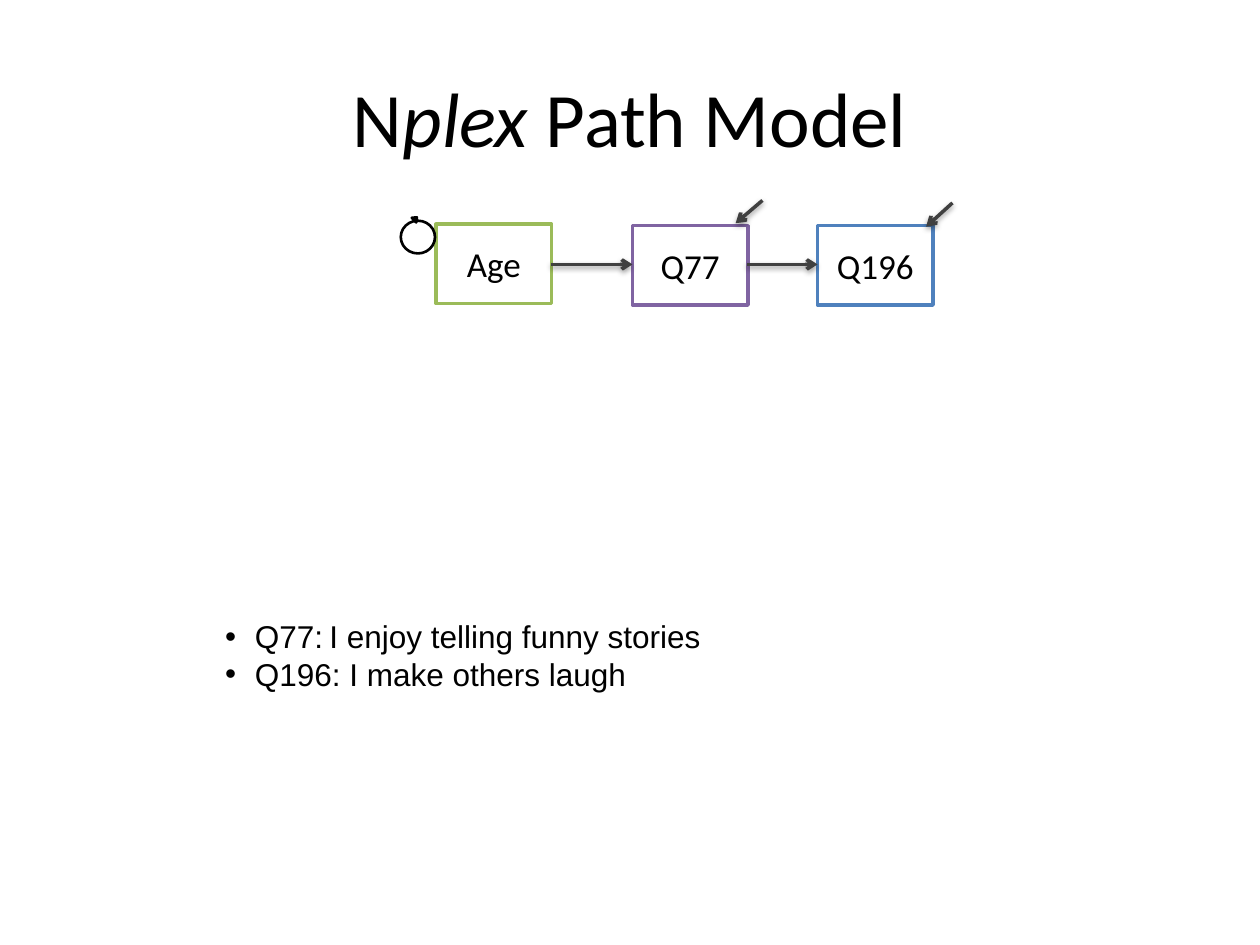
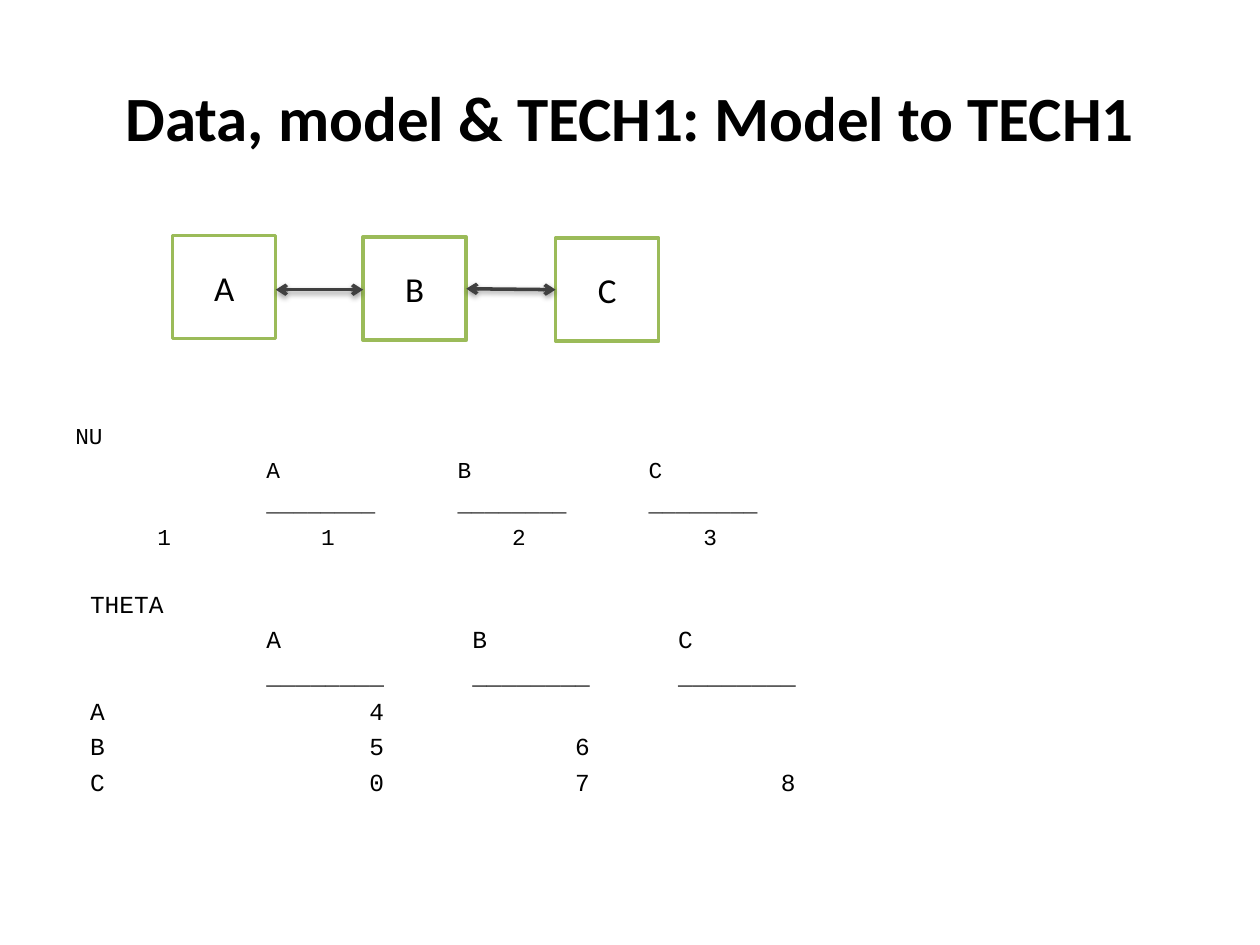
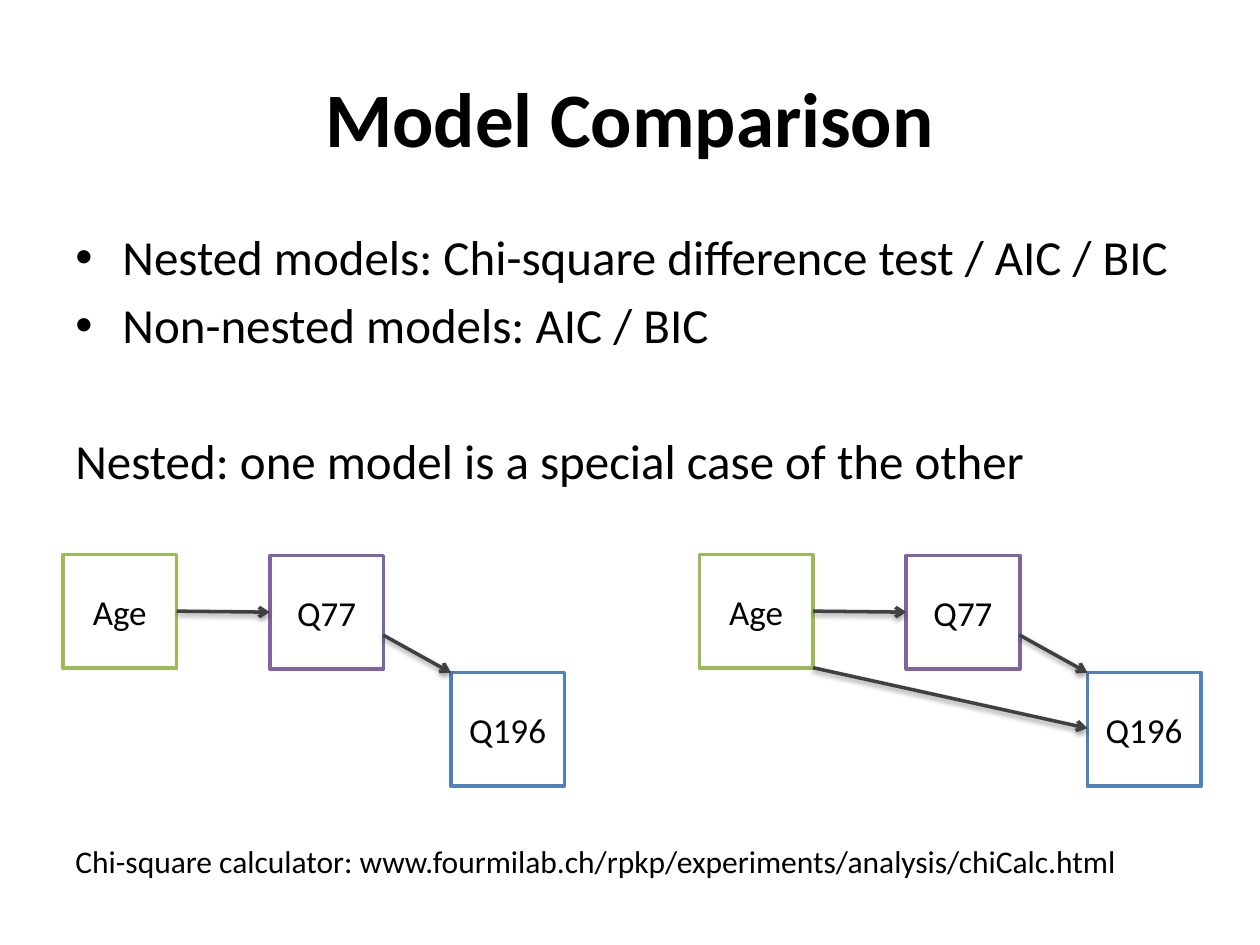
import pptx
import pptx.dml.color
import pptx.enum.shapes
import pptx.enum.text
import pptx.oxml
import pptx.oxml.ns
import pptx.util
from lxml import etree

Cm = pptx.util.Cm
Pt = pptx.util.Pt
RGBColor = pptx.dml.color.RGBColor
Shape = pptx.enum.shapes.MSO_SHAPE
Align = pptx.enum.text.PP_ALIGN
Anchor = pptx.enum.text.MSO_ANCHOR
qn = pptx.oxml.ns.qn

# Shared colours and text formats
BLACK = RGBColor(0x00, 0x00, 0x00)
WHITE = RGBColor(0xFF, 0xFF, 0xFF)
GREEN = RGBColor(0x9B, 0xBB, 0x59)
PURPLE = RGBColor(0x80, 0x64, 0xA2)
BLUE = RGBColor(0x4F, 0x81, 0xBD)
DARK_GRAY = RGBColor(0x40, 0x40, 0x40)

TITLE = {"name": "Calibri", "size": Pt(44)}
BOLD_TITLE = {**TITLE, "bold": True}
LABEL = {"name": "Calibri", "size": Pt(20)}
BODY = {"name": "Calibri", "size": Pt(28)}
NOTE = {"name": "Calibri", "size": Pt(18)}
ITEM = {"name": "Arial", "size": Pt(18)}
NU_CODE = {"name": "Courier New", "size": Pt(13)}
THETA_CODE = {"name": "Courier New", "size": Pt(14)}

BODY_LEFT, BODY_WIDTH = 1.27, 22.86
COURIER_WIDTH = 0.6  # character width as a share of the font size

SHADOW = (
    '<a:effectLst xmlns:a="http://schemas.openxmlformats.org/drawingml/2006/main">'
    '<a:outerShdw blurRad="40000" dist="20000" dir="5400000" rotWithShape="0">'
    '<a:srgbClr val="000000"><a:alpha val="38000"/></a:srgbClr>'
    '</a:outerShdw></a:effectLst>'
)


# Text
def add_run(paragraph, text, formats):
    run = paragraph.add_run()
    run.text = text
    run.font.color.rgb = BLACK
    for name, value in formats.items():
        setattr(run.font, name, value)


def add_text_frame(slide, left, top, width, height):
    frame = slide.shapes.add_textbox(Cm(left), Cm(top), Cm(width), Cm(height)).text_frame
    frame.word_wrap = True
    return frame


def add_paragraph(frame, text, formats, space_before=0):
    first = frame.paragraphs[0]
    paragraph = frame.add_paragraph() if first.runs else first
    paragraph.space_before = Pt(space_before)
    add_run(paragraph, text, formats)
    return paragraph


def set_bullet(paragraph, indent):
    properties = paragraph._p.get_or_add_pPr()
    properties.set("marL", str(Cm(indent)))
    properties.set("indent", str(-Cm(indent)))
    etree.SubElement(properties, qn("a:buFont"), typeface="Arial")
    etree.SubElement(properties, qn("a:buChar"), char="•")


def set_tabs(paragraph, positions):
    tab_list = etree.SubElement(paragraph._p.get_or_add_pPr(), qn("a:tabLst"))
    for position in positions:
        etree.SubElement(tab_list, qn("a:tab"), pos=str(int(position)), algn="l")


def add_title(slide, runs):
    frame = add_text_frame(slide, BODY_LEFT, 0.76, BODY_WIDTH, 3.18)
    frame.vertical_anchor = Anchor.MIDDLE
    frame.paragraphs[0].alignment = Align.CENTER
    for text, formats in runs:
        add_run(frame.paragraphs[0], text, formats)


def add_code_row(frame, columns, texts, formats, space_before=3.6):
    """Place each text at its character column by a tab stop."""
    lead = "\t" if columns[0] else ""
    paragraph = add_paragraph(frame, lead + "\t".join(texts), formats, space_before)
    step = formats["size"] * COURIER_WIDTH
    set_tabs(paragraph, [column * step for column in columns if column])


# Diagrams
def add_outline(slide, kind, left, top, width, height, color, line_width):
    shape = slide.shapes.add_shape(kind, Cm(left), Cm(top), Cm(width), Cm(height))
    shape.shadow.inherit = False
    shape.fill.background()
    shape.line.color.rgb = color
    shape.line.width = Pt(line_width)
    return shape


def add_variable(slide, label, left, top, width, height, color):
    shape = add_outline(slide, Shape.RECTANGLE, left, top, width, height, color, 2)
    shape.fill.solid()
    shape.fill.fore_color.rgb = WHITE
    frame = shape.text_frame
    frame.margin_left = frame.margin_right = 0
    frame.vertical_anchor = Anchor.MIDDLE
    add_paragraph(frame, label, LABEL).alignment = Align.CENTER


def add_arrow(slide, x1, y1, x2, y2, two_headed=False):
    connector = slide.shapes.add_connector(
        pptx.enum.shapes.MSO_CONNECTOR.STRAIGHT, Cm(x1), Cm(y1), Cm(x2), Cm(y2))
    connector.line.color.rgb = DARK_GRAY
    connector.line.width = Pt(2)
    line = connector.line._get_or_add_ln()
    for end in ("headEnd", "tailEnd") if two_headed else ("tailEnd",):
        etree.SubElement(line, qn("a:" + end), type="arrow")
    connector._element.spPr.append(pptx.oxml.parse_xml(SHADOW))


def add_variance_loop(slide):
    add_outline(slide, Shape.OVAL, 8.08, 4.45, 0.69, 0.66, BLACK, 1.5)
    tip = add_outline(slide, Shape.ISOSCELES_TRIANGLE, 8.31, 4.37, 0.13, 0.08, BLACK, 1.5)
    tip.rotation = 46


def add_nested_model(slide, left, direct_path=False):
    side = 2.29
    add_variable(slide, "Age", left, 11.18, side, side, GREEN)
    add_variable(slide, "Q77", left + 4.17, 11.2, side, side, PURPLE)
    add_variable(slide, "Q196", left + 7.82, 13.56, side, side, BLUE)
    add_arrow(slide, left + side, 12.32, left + 4.17, 12.34)
    add_arrow(slide, left + 6.45, 12.8, left + 7.82, 13.56)
    if direct_path:
        add_arrow(slide, left + side, 13.46, left + 7.82, 14.68)


# Slides
def build_path_model(slide):
    add_title(slide, [("N", TITLE), ("plex", {**TITLE, "italic": True}),
                      (" Path Model", TITLE)])
    for label, left, top, color in (("Age", 8.79, 4.52, GREEN),
                                    ("Q77", 12.75, 4.55, PURPLE),
                                    ("Q196", 16.48, 4.55, BLUE)):
        add_variable(slide, label, left, top, 2.33, 1.6, color)
    for ends in ((11.1, 5.33, 12.75, 5.33), (15.06, 5.33, 16.48, 5.33),
                 (15.37, 4.04, 14.83, 4.5), (19.2, 4.09, 18.67, 4.57)):
        add_arrow(slide, *ends)
    add_variance_loop(slide)

    frame = add_text_frame(slide, 4.29, 12.32, 16.79, 2.57)
    for text in ("Q77:\tI enjoy telling funny stories", "Q196: I make others laugh"):
        paragraph = add_paragraph(frame, text, ITEM)
        set_bullet(paragraph, 0.6)
        set_tabs(paragraph, [Cm(2.1)])


def build_tech1(slide):
    add_title(slide, [("Data, model & TECH1: Model to TECH1",
                       {**BOLD_TITLE, "size": Pt(36)})])
    for label, left, top in (("A", 3.48, 4.75), ("B", 7.32, 4.78), ("C", 11.2, 4.8)):
        add_variable(slide, label, left, top, 2.08, 2.08, GREEN)
    add_arrow(slide, 5.56, 5.84, 7.32, 5.84, two_headed=True)
    add_arrow(slide, 9.4, 5.82, 11.2, 5.84, two_headed=True)

    # Parameter listings
    frame = add_text_frame(slide, BODY_LEFT, 8.38, BODY_WIDTH, 8.2)
    rules = ["________"] * 3
    add_code_row(frame, [0], ["NU"], NU_CODE, 0)
    add_code_row(frame, [14, 28, 42], "ABC", NU_CODE)
    add_code_row(frame, [14, 28, 42], rules, NU_CODE)
    add_code_row(frame, [6, 18, 32, 46], "1123", NU_CODE)
    add_code_row(frame, [1], ["THETA"], THETA_CODE, 22)
    add_code_row(frame, [13, 27, 41], "ABC", THETA_CODE)
    add_code_row(frame, [13, 27, 41], rules, THETA_CODE)
    for texts in ("A4", "B56", "C078"):
        add_code_row(frame, [1, 20, 34, 48][:len(texts)], texts, THETA_CODE)


def build_comparison(slide):
    add_title(slide, [("Model Comparison", BOLD_TITLE)])
    frame = add_text_frame(slide, BODY_LEFT, 4.45, BODY_WIDTH, 6)
    set_bullet(add_paragraph(
        frame, "Nested models: Chi-square difference test / AIC / BIC", BODY), 0.95)
    set_bullet(add_paragraph(frame, "Non-nested models: AIC / BIC", BODY, 5.25), 0.95)
    add_paragraph(frame, "Nested: one model is a special case of the other", BODY, 44)

    add_nested_model(slide, 1.27)
    add_nested_model(slide, 14.1, direct_path=True)

    frame = add_text_frame(slide, BODY_LEFT, 16.84, BODY_WIDTH, 1.1)
    add_paragraph(
        frame,
        "Chi-square calculator: www.fourmilab.ch/rpkp/experiments/analysis/chiCalc.html",
        NOTE)


def main():
    presentation = pptx.Presentation()
    presentation.slide_width = Cm(25.4)
    presentation.slide_height = Cm(19.05)
    for build in (build_path_model, build_tech1, build_comparison):
        build(presentation.slides.add_slide(presentation.slide_layouts[6]))
    presentation.save("out.pptx")


if __name__ == "__main__":
    main()
